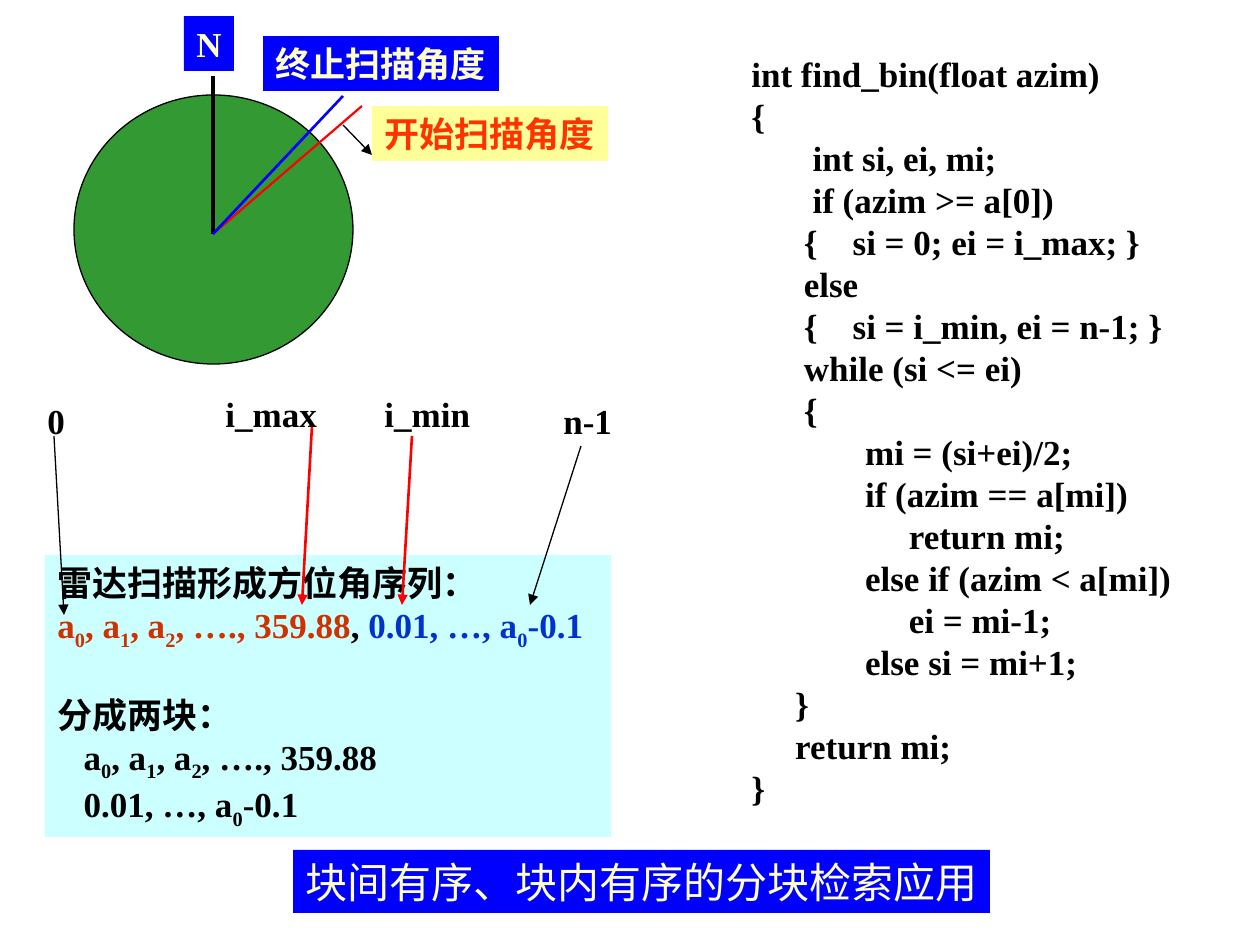
from lxml.etree import SubElement
from pptx import Presentation
from pptx.dml.color import RGBColor
from pptx.enum.shapes import MSO_CONNECTOR, MSO_SHAPE
from pptx.enum.text import MSO_ANCHOR, MSO_AUTO_SIZE, PP_ALIGN
from pptx.oxml.ns import qn
from pptx.util import Emu, Inches, Pt

PX_PER_INCH = 126
FONT = "Times New Roman"
COLORS = {
    "black": "000000", "red": "FF0000", "blue": "0000FF", "green": "339933",
    "cream": "FFFFCC", "yellow": "FFFF99", "orange": "FF3300",
    "aqua": "CCFFFF", "rust": "CC3300", "navy": "0033CC",
}

# Radar dial: lines are (from, to, colour, width in pt, arrow)
DIAL = (74, 95, 279, 269)
CENTER = (213, 234)
DIAL_LINES = [
    (CENTER, (362, 106), "red", 1.25, False),
    ((343, 125), (372, 155), "black", 0.75, True),
    (CENTER, (213, 76), "black", 2, False),
    (CENTER, (343, 96), "blue", 1.5, False),
]
# Labels are (text, box, fill, text colour)
DIAL_LABELS = [
    ("开始扫描角度", (372, 106, 236, 55), "yellow", "orange"),
    ("终止扫描角度", (263, 36, 236, 55), "blue", "cream"),
    ("N", (184, 16, 50, 55), "blue", "cream"),
]

# Azimuth sequence: paragraphs are (runs, indent in pt, space before in pt);
# text between ~ marks is subscript
SEQUENCE_BOX = (45, 555, 566, 282)
FIRST_BLOCK = "a~0~, a~1~, a~2~, …., 359.88"
SECOND_BLOCK = "0.01, …, a~0~-0.1"
SEQUENCE = [
    ([("雷达扫描形成方位角序列：", "black")], 0, 0),
    ([(FIRST_BLOCK, "rust"), (", ", "black"), (SECOND_BLOCK, "navy")], 0, 0),
    ([("分成两块：", "black")], 0, 24),
    ([(FIRST_BLOCK, "black")], 15, 0),
    ([(SECOND_BLOCK, "black")], 15, 0),
]
INDEX_ARROWS = [
    ((312, 426), (302, 605), "red", 1.5, True),
    ((412, 436), (402, 605), "red", 1.5, True),
    ((54, 436), (64, 615), "black", 0.75, True),
    ((581, 446), (530, 605), "black", 0.75, True),
]
INDEX_LABELS = [
    ("i_max", (213, 386, 119, 55)),
    ("i_min", (372, 386, 113, 55)),
    ("0", (35, 393, 44, 55)),
    ("n-1", (551, 393, 76, 55)),
]

CODE_BOX = (739, 46, 486, 770)
CODE = """\
int find_bin(float azim)
{
       int si, ei, mi;
       if (azim >= a[0])
      {    si = 0; ei = i_max; }
      else
      {    si = i_min, ei = n-1; }
      while (si <= ei)
      {
             mi = (si+ei)/2;
             if (azim == a[mi])
                  return mi;
             else if (azim < a[mi])
                  ei = mi-1;
             else si = mi+1;
     }
     return mi;
}"""

BANNER_BOX = (293, 850, 697, 63)
BANNER = "块间有序、块内有序的分块检索应用"


def px(*lengths):
    return [Emu(round(length * 914400 / PX_PER_INCH)) for length in lengths]


def rgb(name):
    return RGBColor.from_string(COLORS[name])


def add_line(shapes, start, end, color, width, arrow):
    line = shapes.add_connector(MSO_CONNECTOR.STRAIGHT, *px(*start, *end))
    line.line.color.rgb = rgb(color)
    line.line.width = Pt(width)
    if arrow:
        SubElement(line.line._get_or_add_ln(), qn("a:tailEnd"), type="triangle")
    SubElement(line._element.spPr, qn("a:effectLst"))


def add_panel(shapes, kind, box, fill):
    panel = shapes.add_shape(kind, *px(*box))
    panel.shadow.inherit = False
    panel.fill.solid()
    panel.fill.fore_color.rgb = rgb(fill)
    panel.line.fill.background()
    return panel


def add_text(shapes, box, paragraphs, fill=None, wrap=False, size=20, bold=True):
    if fill:
        holder = add_panel(shapes, MSO_SHAPE.RECTANGLE, box, fill)
    else:
        holder = shapes.add_textbox(*px(*box))
    frame = holder.text_frame
    frame.word_wrap = wrap
    frame.auto_size = MSO_AUTO_SIZE.SHAPE_TO_FIT_TEXT
    frame.vertical_anchor = MSO_ANCHOR.TOP
    for i, (runs, indent, before) in enumerate(paragraphs):
        paragraph = frame.add_paragraph() if i else frame.paragraphs[0]
        paragraph.alignment = PP_ALIGN.LEFT
        if indent:
            paragraph._p.get_or_add_pPr().set("marL", str(Pt(indent)))
        if before:
            paragraph.space_before = Pt(before)
        for text, color in runs:
            for j, piece in enumerate(text.split("~")):
                run = paragraph.add_run()
                run.text = piece
                run.font.name = FONT
                run.font.size = Pt(size)
                run.font.bold = bold
                run.font.color.rgb = rgb(color)
                if j % 2:
                    run.font._element.set("baseline", "-25000")


def plain(text, color="black"):
    return [([(line, color)], 0, 0) for line in text.split("\n")]


def main():
    deck = Presentation()
    deck.slide_width, deck.slide_height = Inches(10), Inches(7.5)
    shapes = deck.slides.add_slide(deck.slide_layouts[6]).shapes

    # Radar dial with its scan angles
    dial = add_panel(shapes, MSO_SHAPE.OVAL, DIAL, "green")
    dial.line.color.rgb = rgb("black")
    dial.line.width = Pt(0.75)
    for line in DIAL_LINES:
        add_line(shapes, *line)
    for text, box, fill, color in DIAL_LABELS:
        add_text(shapes, box, plain(text, color), fill)

    # Search code
    add_text(shapes, CODE_BOX, plain(CODE), wrap=True)

    # Azimuth sequence with index arrows
    add_text(shapes, SEQUENCE_BOX, SEQUENCE, "aqua", wrap=True)
    for arrow in INDEX_ARROWS:
        add_line(shapes, *arrow)
    for text, box in INDEX_LABELS:
        add_text(shapes, box, plain(text))

    # Closing banner
    add_text(shapes, BANNER_BOX, plain(BANNER, "cream"), "blue", size=24, bold=False)

    deck.save("out.pptx")


if __name__ == "__main__":
    main()
